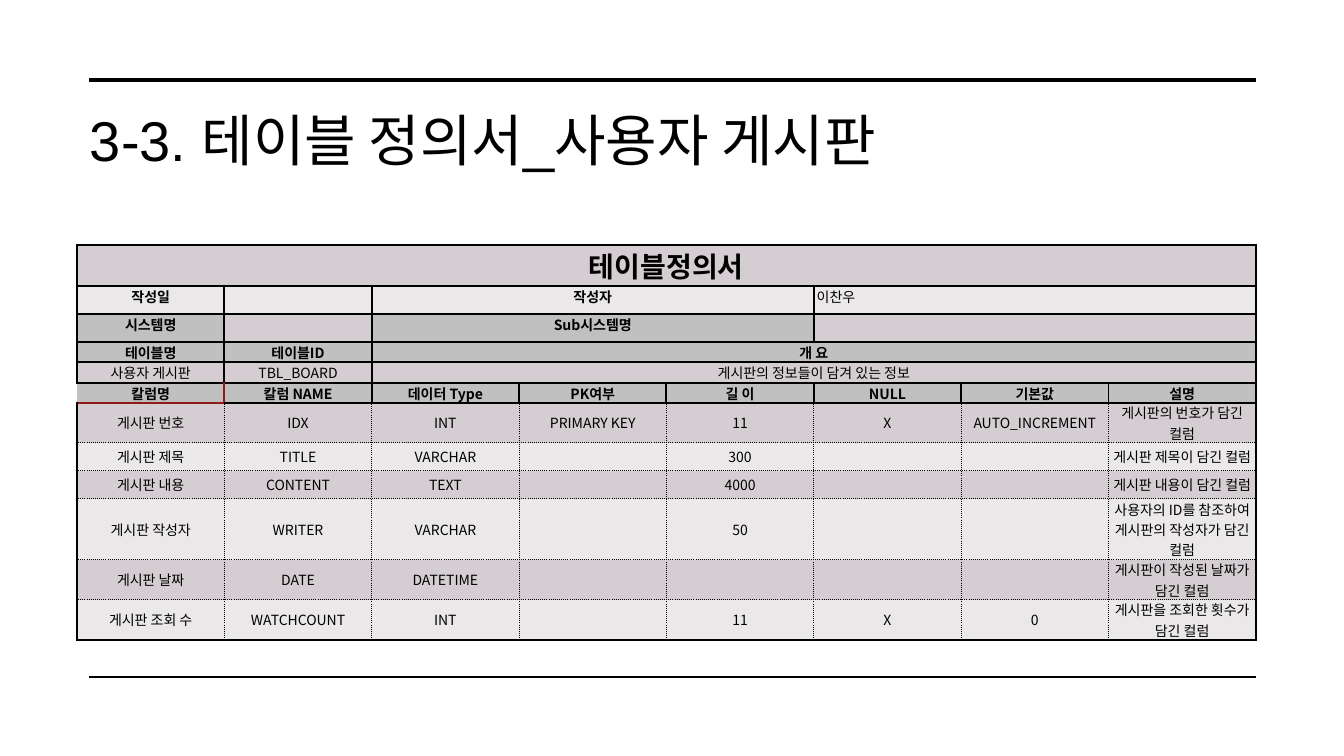
"""Build the table definition slide for the user board."""
from lxml import etree
from pptx import Presentation
from pptx.dml.color import RGBColor
from pptx.enum.shapes import MSO_CONNECTOR
from pptx.enum.text import MSO_ANCHOR, PP_ALIGN
from pptx.oxml.ns import qn
from pptx.util import Pt

STRAIGHT = MSO_CONNECTOR.STRAIGHT
TOP, MIDDLE = MSO_ANCHOR.TOP, MSO_ANCHOR.MIDDLE
LEFT, CENTER = PP_ALIGN.LEFT, PP_ALIGN.CENTER

THEME = {
    "ink": "000000", "red": "901C15",
    "head": "C0C0C0", "dark": "D4CED2", "light": "EBE8EA",
    "title_font": "Arial", "table_font": "Noto Sans CJK KR",
    "title": 40, "caption": 20, "body": 10,
}

ROWS = [
    (41, "dark", ["테이블정의서"]),
    (28, "light", ["작성일", "", "작성자", "", "", "이찬우"]),
    (28, "head", ["시스템명", "", "Sub시스템명"]),
    (20, "head", ["테이블명", "테이블ID", "개 요"]),
    (21, "dark", ["사용자 게시판", "TBL_BOARD", "게시판의 정보들이 담겨 있는 정보"]),
    (20, "head", ["칼럼명", "칼럼 NAME", "데이터 Type", "PK여부", "길 이", "NULL", "기본값", "설명"]),
    (40, "dark", ["게시판 번호", "IDX", "INT", "PRIMARY KEY", "11", "X", "AUTO_INCREMENT",
                  "게시판의 번호가 담긴 컬럼"]),
    (28, "light", ["게시판 제목", "TITLE", "VARCHAR", "", "300", "", "", "게시판 제목이 담긴 컬럼"]),
    (28, "dark", ["게시판 내용", "CONTENT", "TEXT", "", "4000", "", "", "게시판 내용이 담긴 컬럼"]),
    (61, "light", ["게시판 작성자", "WRITER", "VARCHAR", "", "50", "", "",
                   "사용자의 ID를 참조하여 게시판의 작성자가 담긴 컬럼"]),
    (40, "dark", ["게시판 날짜", "DATE", "DATETIME", "", "", "", "", "게시판이 작성된 날짜가 담긴 컬럼"]),
    (40, "light", ["게시판 조회 수", "WATCHCOUNT", "INT", "", "11", "X", "0",
                   "게시판을 조회한 횟수가 담긴 컬럼"]),
]
COLS, HEADER_ROW = 8, 5
LAST_ROW, LAST_COL = len(ROWS) - 1, COLS - 1
MERGES = [(0, 0, 7), (1, 2, 4), (1, 5, 7), (2, 2, 4), (2, 5, 7), (3, 2, 7), (4, 2, 7)]
RED_SIDES = {(5, 0, "R"), (5, 0, "B"), (5, 1, "L"), (6, 0, "T")}
NO_SIDES = {(5, 0, "L")}
PLAIN_CELLS = {(1, 5)}
GRAY_EXCEPTIONS = {(2, 1), (2, 5)}


def px(n):
    return round(n * 914400 / 100.8)


def style_run(r, size, font, bold=False):
    r.font.size, r.font.bold, r.font.name = Pt(size), bold, font
    r.font.color.rgb = RGBColor.from_string(THEME["ink"])
    etree.SubElement(r.font._element, qn("a:ea"), typeface=THEME["table_font"])


prs = Presentation()
prs.slide_width, prs.slide_height = px(1344), px(756)
s = prs.slides.add_slide(prs.slide_layouts[6])

for y, weight in [(80, 3.5), (677, 1)]:
    rule = s.shapes.add_connector(STRAIGHT, px(89), px(y), px(1256), px(y))
    rule.line.color.rgb = RGBColor.from_string(THEME["ink"])
    rule.line.width = Pt(weight)
    etree.SubElement(rule._element.spPr, qn("a:effectLst"))

title = s.shapes.add_textbox(px(78), px(101), px(1178), px(144))
tf = title.text_frame
tf.word_wrap = True
tf.margin_left = tf.margin_top = tf.margin_right = px(12)
tf.margin_bottom = px(10)
p = tf.paragraphs[0]
p.text = "3-3. 테이블 정의서_사용자 게시판"
p.line_spacing = 0.9
style_run(p.runs[0], THEME["title"], THEME["title_font"])

table_width, table_height = px(1179), px(sum(row[0] for row in ROWS))
frame = s.shapes.add_table(len(ROWS), COLS, px(77), px(245), table_width, table_height)
table = frame.table
table.first_row = table.horz_banding = False
for col in table.columns:
    col.width = table_width // COLS
for r0, c0, c1 in MERGES:
    table.cell(r0, c0).merge(table.cell(r0, c1))

for i, (height, fill, texts) in enumerate(ROWS):
    table.rows[i].height = px(height)
    for j in range(COLS):
        cell = table.cell(i, j)
        cell.margin_left = cell.margin_right = px(3)
        cell.margin_top = cell.margin_bottom = 0
        cell.vertical_anchor = MIDDLE if i > HEADER_ROW else TOP
        tcPr = cell._tc.get_or_add_tcPr()
        outer = {"L": j == 0, "R": j == LAST_COL, "T": i == HEADER_ROW + 1, "B": i == LAST_ROW}
        for side, on_edge in outer.items():
            solid = i <= HEADER_ROW or on_edge
            ln = etree.SubElement(tcPr, qn("a:ln" + side), w=str(Pt(1.5 if solid else 0.75)))
            if (i, j, side) in NO_SIDES:
                etree.SubElement(ln, qn("a:noFill"))
                continue
            color = THEME["red" if (i, j, side) in RED_SIDES else "ink"]
            paint = etree.SubElement(ln, qn("a:solidFill"))
            etree.SubElement(paint, qn("a:srgbClr"), val=color)
            etree.SubElement(ln, qn("a:prstDash"), val="solid" if solid else "sysDot")
        cell.fill.solid()
        shade = "dark" if (i, j) in GRAY_EXCEPTIONS else fill
        cell.fill.fore_color.rgb = RGBColor.from_string(THEME[shade])

        p = cell.text_frame.paragraphs[0]
        text = texts[j] if j < len(texts) else ""
        if not text:
            etree.SubElement(p._p, qn("a:endParaRPr"), sz=str(THEME["body"] * 100))
            continue
        p.text = text
        plain = (i, j) in PLAIN_CELLS
        p.alignment = LEFT if plain else CENTER
        bold = i <= HEADER_ROW and i != 4 and not plain
        style_run(p.runs[0], THEME["body" if i else "caption"], THEME["table_font"], bold)

prs.save("out.pptx")
